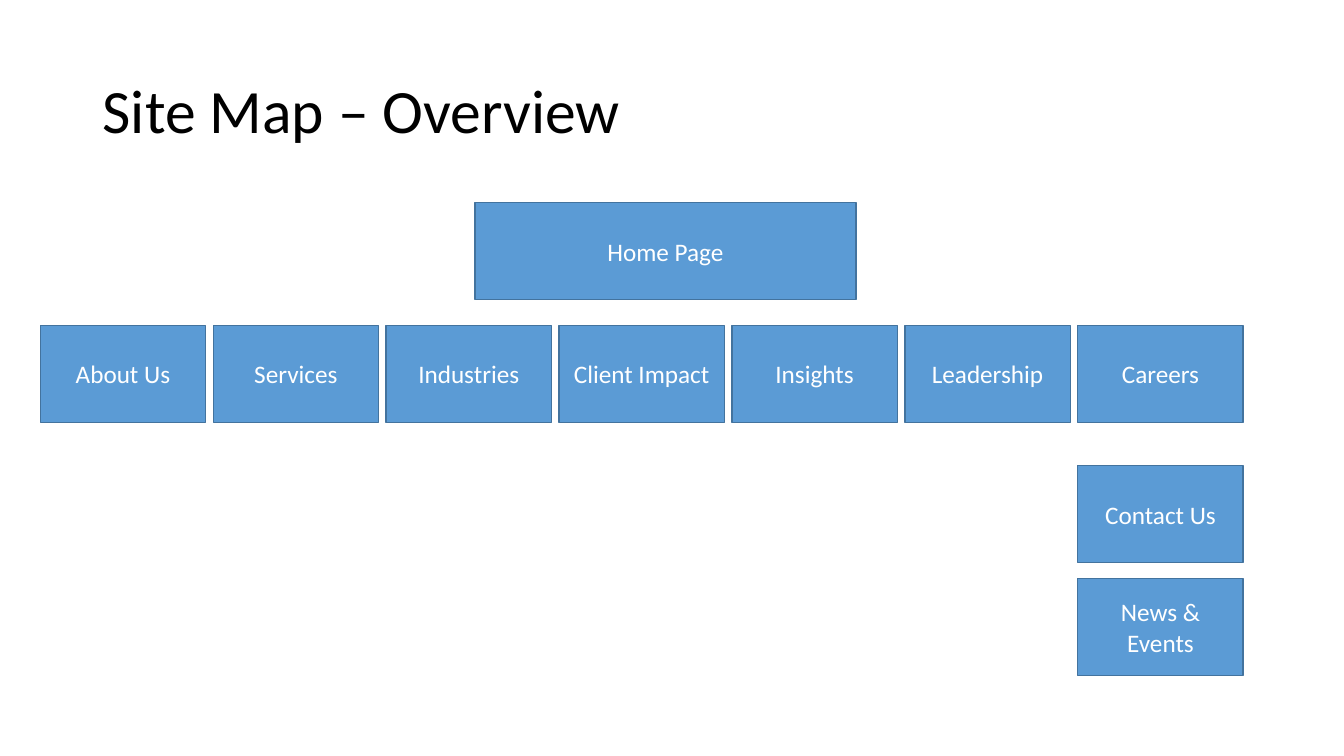
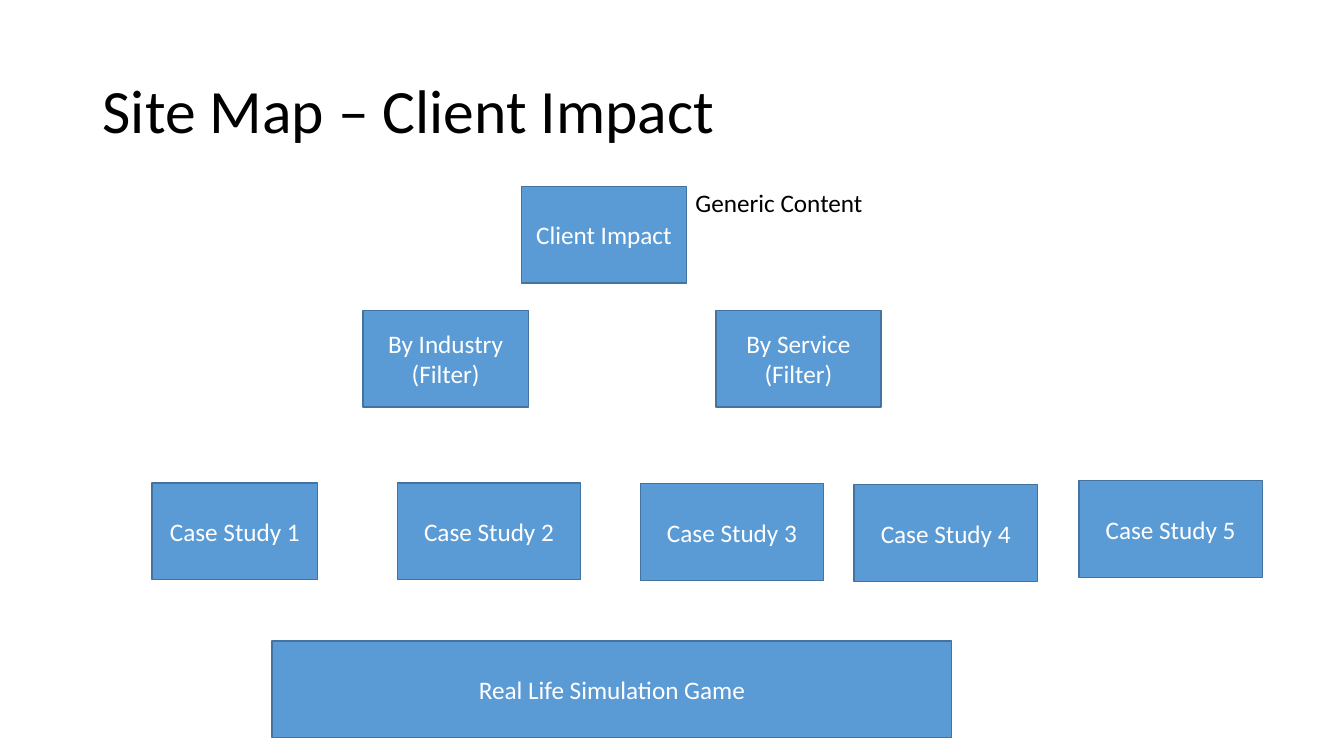
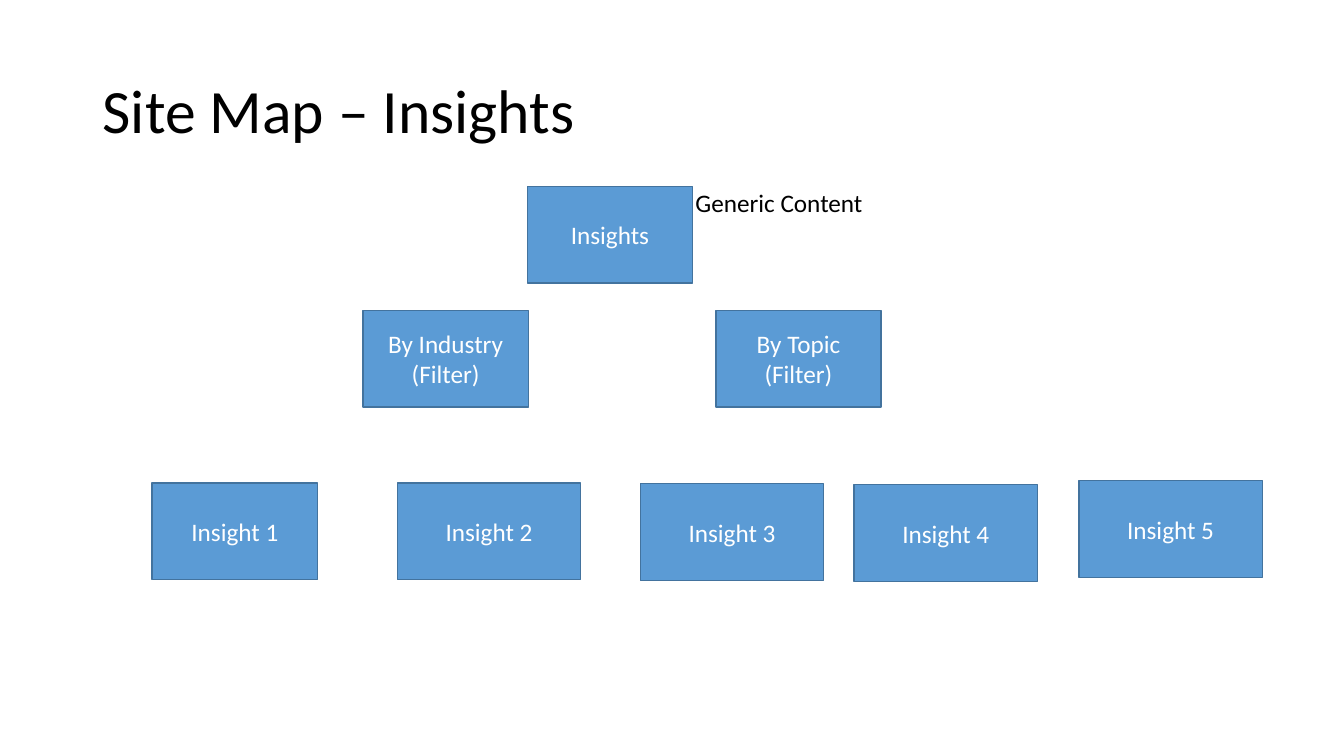
"""Build the three site map slides."""
from dataclasses import dataclass

from pptx import Presentation
from pptx.dml.color import RGBColor
from pptx.enum.shapes import MSO_SHAPE
from pptx.enum.text import MSO_ANCHOR, MSO_AUTO_SIZE, PP_ALIGN
from pptx.presentation import Presentation as Deck
from pptx.slide import Slide
from pptx.text.text import TextFrame
from pptx.util import Inches, Pt


@dataclass(frozen=True)
class Theme:
    """Colours, font, type sizes and box sizes shared by the slides."""

    fill: RGBColor = RGBColor(0x5B, 0x9B, 0xD5)
    line: RGBColor = RGBColor(0x43, 0x73, 0x9E)
    dark: RGBColor = RGBColor(0, 0, 0)
    light: RGBColor = RGBColor(255, 255, 255)
    font: str = "Calibri"
    title_size: int = 44
    body_size: int = 18
    line_width: int = 1
    box_width: float = 1.64
    item_width: float = 1.82
    box_height: float = 0.96


THEME = Theme()


@dataclass(frozen=True)
class Box:
    """A page of the site map, placed in inches."""

    text: str
    left: float
    top: float
    width: float = THEME.box_width


@dataclass(frozen=True)
class Section:
    """A site section with its filters and numbered items."""

    name: str
    left: float
    filters: tuple[str, ...]
    item: str
    extras: tuple[Box, ...] = ()


ITEM_SPOTS = (
    (1.51, 4.79, THEME.box_width),
    (3.94, 4.79, THEME.item_width),
    (6.35, 4.8, THEME.item_width),
    (8.47, 4.81, THEME.item_width),
    (10.7, 4.77, THEME.item_width),
)
MENU = ("About Us", "Services", "Industries", "Client Impact",
        "Insights", "Leadership", "Careers")
MENU_LEFT, MENU_RIGHT, MENU_TOP = 0.4, 10.69, 3.23
FILTER_LEFT, FILTER_PITCH, FILTER_TOP = 3.6, 3.5, 3.08

SECTIONS = (
    Section("Client Impact", 5.17, ("By Industry (Filter)", "By Service (Filter)"),
            "Case Study", (Box("Real Life Simulation Game", 2.7, 6.36, 6.74),)),
    Section("Insights", 5.23, ("By Industry (Filter)", "By Topic (Filter)"), "Insight"),
)


def write(tf: TextFrame, text: str, size: int, color: RGBColor,
          align: PP_ALIGN = PP_ALIGN.LEFT, anchor: MSO_ANCHOR = MSO_ANCHOR.MIDDLE,
          spacing: float = 1.0) -> None:
    """Fill a text frame with one styled paragraph."""
    tf.word_wrap = True
    tf.vertical_anchor = anchor
    p = tf.paragraphs[0]
    p.text = text
    p.alignment = align
    p.line_spacing = spacing
    p.font.name = THEME.font
    p.font.size = Pt(size)
    p.font.color.rgb = color


def add_titled_slide(prs: Deck, topic: str) -> Slide:
    """Add a blank slide with the shared title."""
    s = prs.slides.add_slide(prs.slide_layouts[6])
    tb = s.shapes.add_textbox(Inches(0.92), Inches(0.4), Inches(11.5), Inches(1.45))
    write(tb.text_frame, f"Site Map – {topic}", THEME.title_size, THEME.dark, spacing=0.9)
    return s


def add_box(s: Slide, box: Box) -> None:
    """Draw one page box."""
    sp = s.shapes.add_shape(MSO_SHAPE.RECTANGLE, Inches(box.left), Inches(box.top),
                            Inches(box.width), Inches(THEME.box_height))
    sp.shadow.inherit = False
    sp.fill.solid()
    sp.fill.fore_color.rgb = THEME.fill
    sp.line.color.rgb = THEME.line
    sp.line.width = Pt(THEME.line_width)
    write(sp.text_frame, box.text, THEME.body_size, THEME.light, PP_ALIGN.CENTER)


def add_note(s: Slide, text: str) -> None:
    """Draw the label beside the section page."""
    tb = s.shapes.add_textbox(Inches(6.8), Inches(1.81), Inches(2.04), Inches(0.4))
    write(tb.text_frame, text, THEME.body_size, THEME.dark, anchor=MSO_ANCHOR.TOP)
    tb.text_frame.auto_size = MSO_AUTO_SIZE.SHAPE_TO_FIT_TEXT


def build_overview(prs: Deck) -> None:
    """Build the overview of the whole site."""
    s = add_titled_slide(prs, "Overview")
    add_box(s, Box("Home Page", 4.71, 2.01, 3.78))
    pitch = (MENU_RIGHT - MENU_LEFT) / (len(MENU) - 1)
    for i, name in enumerate(MENU):
        add_box(s, Box(name, MENU_LEFT + i * pitch, MENU_TOP))
    add_box(s, Box("Contact Us", MENU_RIGHT, 4.62))
    add_box(s, Box("News & Events", MENU_RIGHT, 5.74))


def build_section(prs: Deck, section: Section) -> None:
    """Build the map of one section."""
    s = add_titled_slide(prs, section.name)
    add_box(s, Box(section.name, section.left, 1.85))
    add_note(s, "Generic Content")
    for i, name in enumerate(section.filters):
        add_box(s, Box(name, FILTER_LEFT + i * FILTER_PITCH, FILTER_TOP))
    for number, spot in enumerate(ITEM_SPOTS, 1):
        add_box(s, Box(f"{section.item} {number}", *spot))
    for box in section.extras:
        add_box(s, box)


def main() -> None:
    """Build and save the presentation."""
    prs = Presentation()
    prs.slide_width, prs.slide_height = Inches(13.33), Inches(7.5)
    build_overview(prs)
    for section in SECTIONS:
        build_section(prs, section)
    prs.save("out.pptx")


main()
